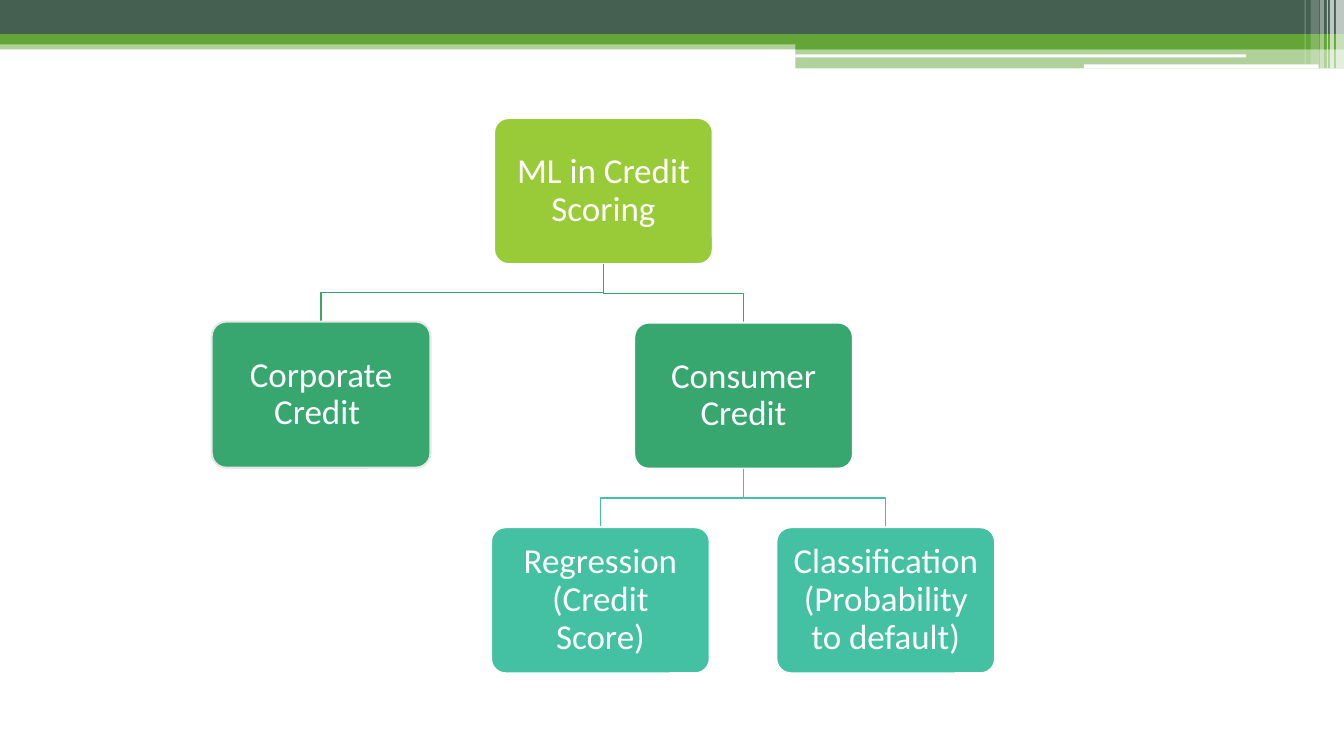
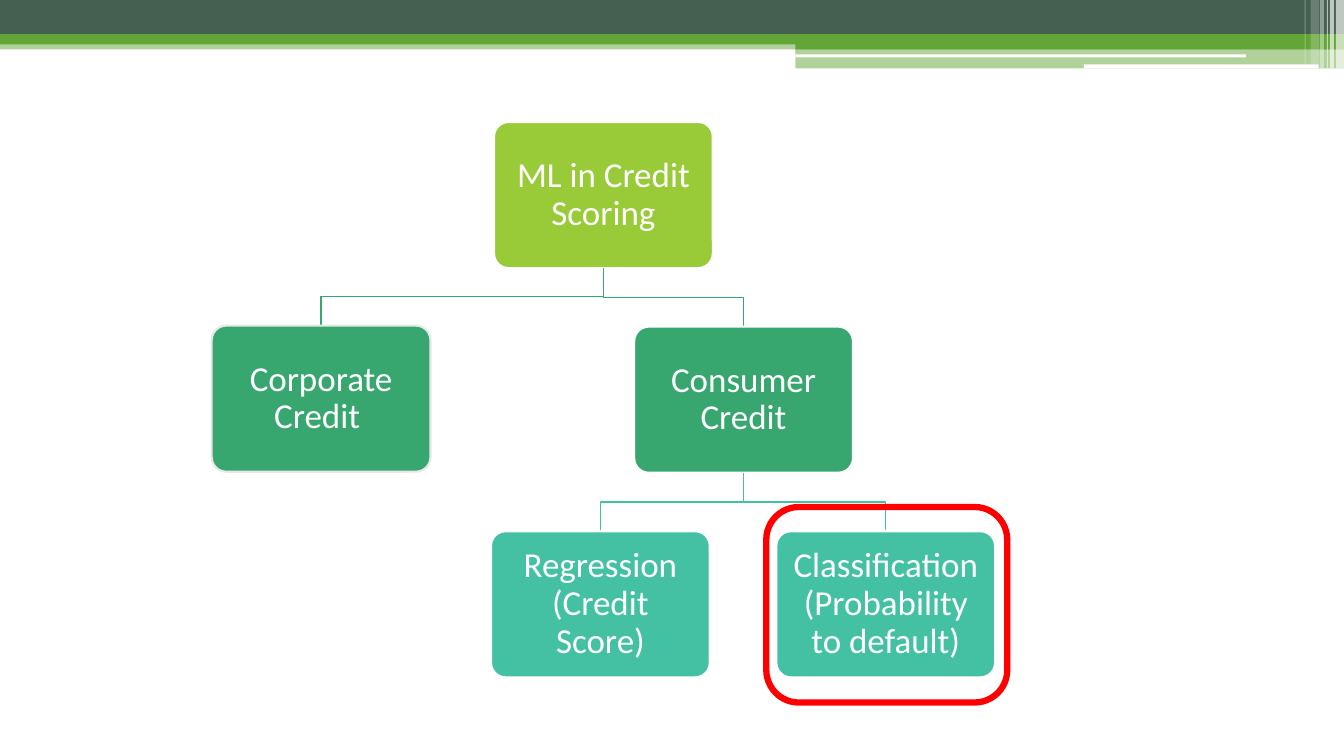
import pptx
import pptx.dml.color
import pptx.enum.shapes
import pptx.enum.text
import pptx.oxml.ns
import pptx.util
from lxml import etree

Inches = pptx.util.Inches
Pt = pptx.util.Pt
RGBColor = pptx.dml.color.RGBColor
MSO_SHAPE = pptx.enum.shapes.MSO_SHAPE

WHITE = RGBColor(0xFF, 0xFF, 0xFF)
PALE_GREY = RGBColor(0xE7, 0xE7, 0xE7)
SLATE = RGBColor(0x45, 0x5F, 0x51)
GREEN = RGBColor(0x63, 0xA5, 0x37)
LIME = RGBColor(0x99, 0xCB, 0x38)
EMERALD = RGBColor(0x37, 0xA7, 0x6F)
TEAL = RGBColor(0x44, 0xC1, 0xA3)
RED = RGBColor(0xFF, 0x00, 0x00)

FONT = "Calibri"
BOX_WIDTH, BOX_HEIGHT = Inches(2.17), Inches(1.45)

# Header bands: left, top, width, height, colour, opacity in percent
BANDS = [
    (0, 0.4, 13.33, 0.09, GREEN, 50),
    (0, 0, 13.33, 0.34, SLATE, 100),
    (0, 0.34, 13.33, 0.1, GREEN, 100),
    (7.89, 0.39, 5.44, 0.1, GREEN, 100),
    (7.89, 0.48, 5.44, 0.2, GREEN, 50),
    (7.89, 0.54, 4.47, 0.03, WHITE, 100),
    (10.75, 0.64, 2.33, 0.04, WHITE, 100),
    (13.25, 0, 0.08, 0.68, WHITE, 65),
    (13.19, 0, 0.04, 0.68, WHITE, 65),
    (13.16, 0, 0.01, 0.68, WHITE, 60),
    (13.09, 0, 0.04, 0.68, WHITE, 40),
    (13, 0, 0.08, 0.64, WHITE, 20),
    (12.94, 0, 0.01, 0.64, WHITE, 30),
]

# Tree boxes: name -> text, left, top, fill, outline, parent
BOXES = {
    "root": ("ML in Credit Scoring", 4.9, 1.17, LIME, WHITE, None),
    "corporate": ("Corporate Credit ", 2.1, 3.19, EMERALD, PALE_GREY, "root"),
    "consumer": ("Consumer Credit", 6.29, 3.2, EMERALD, WHITE, "root"),
    "regression": ("Regression (Credit Score)", 4.87, 5.23, TEAL, WHITE, "consumer"),
    "classification": ("Classification (Probability to default)", 7.7, 5.23,
                       TEAL, WHITE, "consumer"),
}


def add_box(slide, kind, left, top, width, height, fill=None, line=None, line_width=0):
    shape = slide.shapes.add_shape(kind, left, top, width, height)
    shape.shadow.inherit = False
    if fill is None:
        shape.fill.background()
    else:
        shape.fill.solid()
        shape.fill.fore_color.rgb = fill
    if line is None:
        shape.line.fill.background()
    else:
        shape.line.color.rgb = line
        shape.line.width = Pt(line_width)
    return shape


def add_tree(slide, shift):
    placed = {}
    for name, (text, left, top, fill, outline, parent) in BOXES.items():
        left, top = Inches(left), Inches(top) + shift
        # Elbow line from the parent's bottom to this box's top
        if parent:
            start = placed[parent]
            start_x = start.left + start.width // 2
            start_y = start.top + start.height
            end_x = left + BOX_WIDTH // 2
            middle_y = (start_y + top) // 2
            builder = slide.shapes.build_freeform(start_x, start_y)
            builder.add_line_segments(
                [(start_x, middle_y), (end_x, middle_y), (end_x, top)], close=False)
            elbow = builder.convert_to_shape()
            elbow.shadow.inherit = False
            elbow.fill.background()
            elbow.line.color.rgb = fill
            elbow.line.width = Pt(1)

        box = add_box(slide, MSO_SHAPE.ROUNDED_RECTANGLE, left, top,
                      BOX_WIDTH, BOX_HEIGHT, fill, outline, 1.5)
        box.adjustments[0] = 0.1
        placed[name] = box

        frame = box.text_frame
        frame.text = text
        frame.word_wrap = True
        frame.vertical_anchor = pptx.enum.text.MSO_ANCHOR.MIDDLE
        frame.margin_left = frame.margin_right = Inches(0.1)
        frame.margin_top = frame.margin_bottom = Inches(0.1)
        paragraph = frame.paragraphs[0]
        paragraph.alignment = pptx.enum.text.PP_ALIGN.CENTER
        paragraph.line_spacing = 0.9
        font = paragraph.runs[0].font
        font.name, font.size, font.color.rgb = FONT, Pt(25), WHITE


presentation = pptx.Presentation()
presentation.slide_width, presentation.slide_height = Inches(13.33), Inches(7.5)
blank_layout = presentation.slide_layouts[6]
tree_slide = presentation.slides.add_slide(blank_layout)
highlight_slide = presentation.slides.add_slide(blank_layout)

# Shared header: drawn once, then moved to the slide master
master_tree = presentation.slide_master.shapes.element
for number, (left, top, width, height, colour, opacity) in enumerate(BANDS):
    band = add_box(tree_slide, MSO_SHAPE.RECTANGLE, Inches(left), Inches(top),
                   Inches(width), Inches(height), colour)
    if opacity < 100:
        colour_element = band.element.find(".//" + pptx.oxml.ns.qn("a:srgbClr"))
        alpha = etree.SubElement(colour_element, pptx.oxml.ns.qn("a:alpha"))
        alpha.set("val", str(opacity * 1000))
    band.element.nvSpPr.cNvPr.set("id", str(100 + number))
    master_tree.append(band.element)

# Slide 1: the tree
add_tree(tree_slide, Inches(0))

# Slide 2: the same tree, a little lower, with classification ringed
add_tree(highlight_slide, Inches(0.04))
add_box(highlight_slide, MSO_SHAPE.ROUNDED_RECTANGLE, Inches(7.6), Inches(5.03),
        Inches(2.39), Inches(1.94), line=RED, line_width=4.5)

presentation.save("out.pptx")
